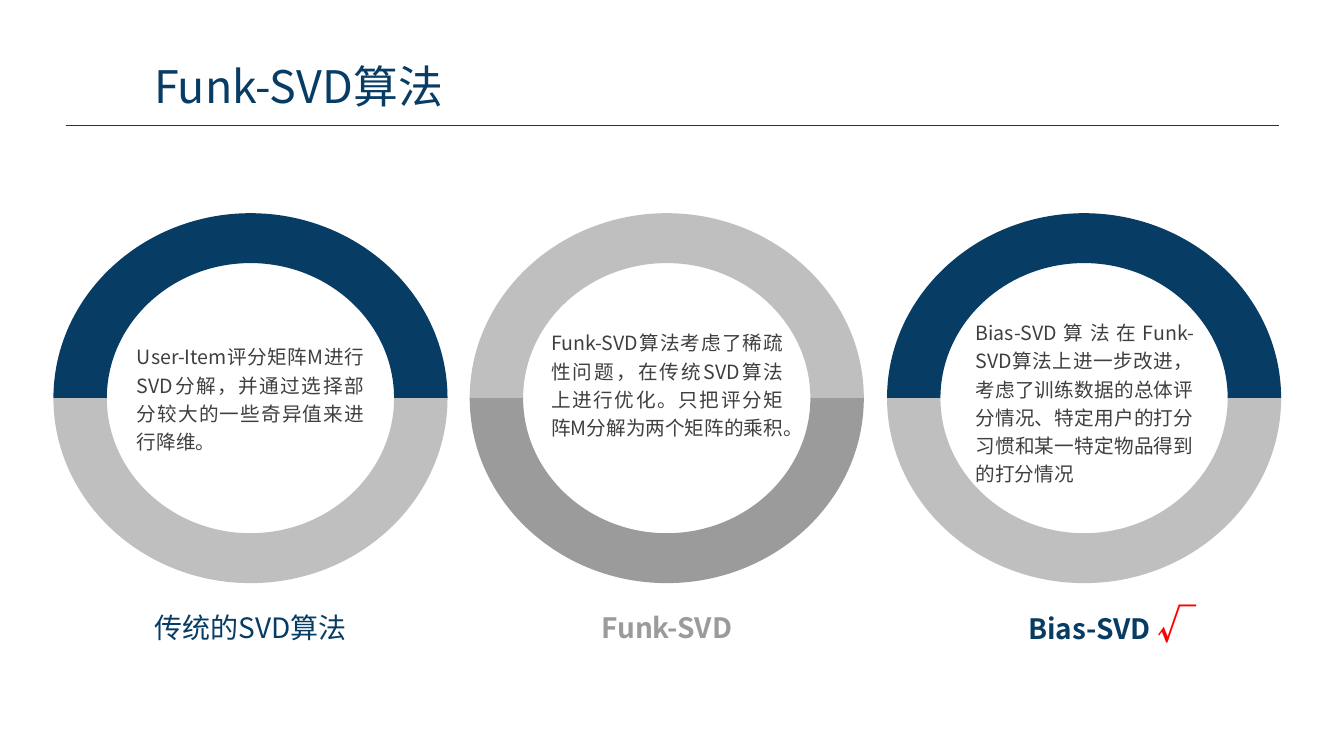
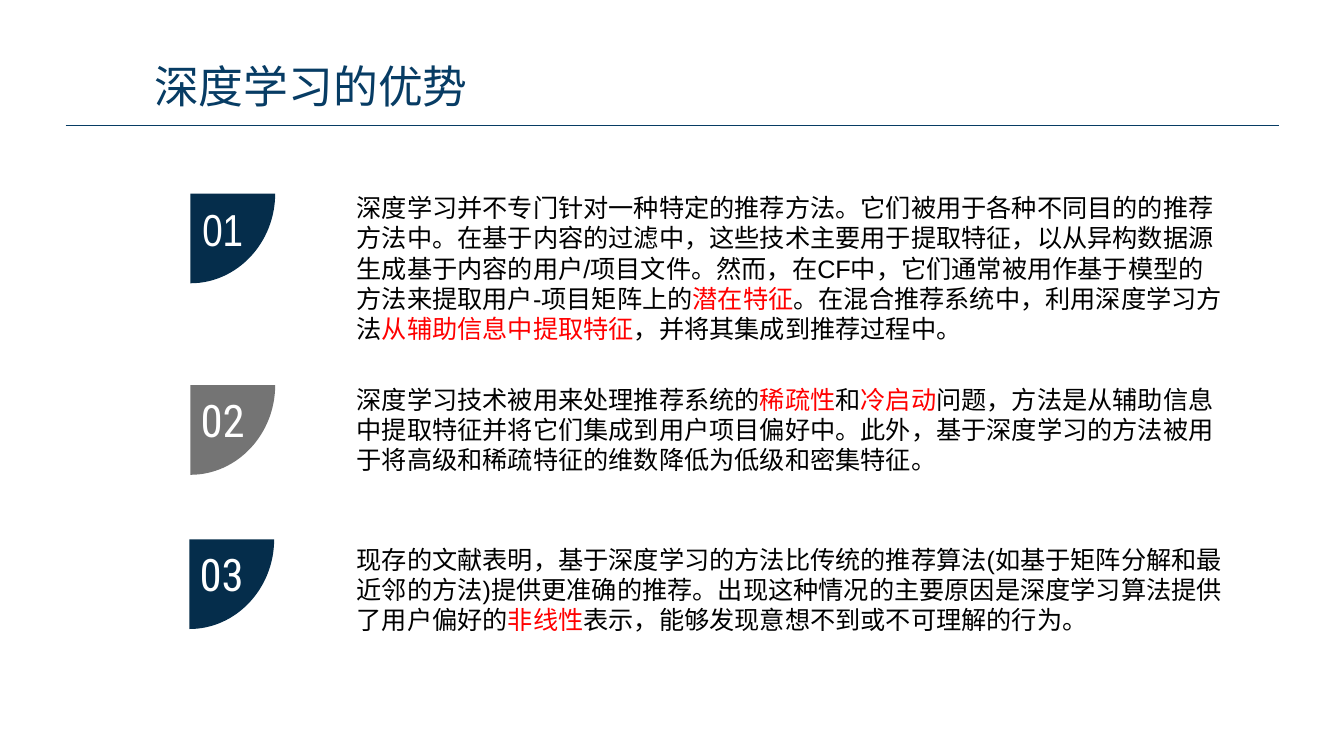
"""Build two slides: three SVD variants as rings, and three numbered advantages of deep learning."""
from lxml import etree
from pptx import Presentation
from pptx.dml.color import RGBColor
from pptx.enum.lang import MSO_LANGUAGE_ID
from pptx.enum.shapes import MSO_CONNECTOR
from pptx.enum.text import MSO_ANCHOR, MSO_AUTO_SIZE, PP_ALIGN
from pptx.oxml.ns import qn
from pptx.util import Inches, Pt

CHINESE = MSO_LANGUAGE_ID.SIMPLIFIED_CHINESE
STRAIGHT = MSO_CONNECTOR.STRAIGHT
MIDDLE = MSO_ANCHOR.MIDDLE
GROW, FIXED = MSO_AUTO_SIZE.SHAPE_TO_FIT_TEXT, MSO_AUTO_SIZE.NONE
LEFT, CENTER, JUSTIFY = PP_ALIGN.LEFT, PP_ALIGN.CENTER, PP_ALIGN.JUSTIFY

COLORS = {
    "navy": "073C64", "deep": "052D4B", "silver": "BFBFBF", "gray": "9B9B9B",
    "slate": "747474", "ink": "3F3F3F", "black": "000000", "red": "FF0000", "white": "FFFFFF",
}
HEADING_FONT, BODY_FONT = "Noto Sans CJK JP", "Noto Sans CJK SC"

METHODS = [
    {"label": [("传统的SVD算法", "navy", 20)], "bold": False, "halves": ("navy", "silver"),
     "left": 0.53, "label_corner": (0.65, 6.01), "body_box": (1.26, 3.33, 2.45, 1.21),
     "body": "User-Item评分矩阵M进行SVD分解，并通过选择部分较大的一些奇异值来进行降维。"},
    {"label": [("Funk-SVD", "gray", 20)], "bold": True, "halves": ("silver", "gray"),
     "left": 4.66, "label_corner": (4.78, 6.01), "body_box": (5.37, 3.19, 2.5, 1.49),
     "body": "Funk-SVD算法考虑了稀疏性问题，在传统SVD算法上进行优化。只把评分矩阵M分解为两个矩阵的乘积。"},
    {"label": [("Bias-SVD ", "navy", 20), ("√", "red", 28)], "bold": True, "halves": ("navy", "silver"),
     "left": 8.8, "label_corner": (9.2, 5.91), "body_box": (9.58, 3.09, 2.36, 1.77),
     "body": "Bias-SVD算法在Funk-SVD算法上进一步改进，考虑了训练数据的总体评分情况、"
             "特定用户的打分习惯和某一特定物品得到的打分情况"},
]
ADVANTAGES = [
    {"number": "01", "font": "Arial Narrow", "color": "deep", "corner": (1.89, 1.92), "box": (1.86, 1.62),
     "body": [("深度学习并不专门针对一种特定的推荐方法。它们被用于各种不同目的的推荐方法中。"
               "在基于内容的过滤中，这些技术主要用于提取特征，以从异构数据源生成基于内容的用户/项目文件。"
               "然而，在CF中，它们通常被用作基于模型的方法来提取用户-项目矩阵上的", "black"),
              ("潜在特征", "red"), ("。在混合推荐系统中，利用深度学习方法", "black"),
              ("从辅助信息中提取特征", "red"), ("，并将其集成到推荐过程中。", "black")]},
    {"number": "02", "font": "Roboto Condensed", "color": "slate", "corner": (1.89, 3.82), "box": (3.76, 1.01),
     "body": [("深度学习技术被用来处理推荐系统的", "black"), ("稀疏性", "red"), ("和", "black"),
              ("冷启动", "red"),
              ("问题，方法是从辅助信息中提取特征并将它们集成到用户项目偏好中。"
               "此外，基于深度学习的方法被用于将高级和稀疏特征的维数降低为低级和密集特征。", "black")]},
    {"number": "03", "font": "Roboto Condensed", "color": "deep", "corner": (1.88, 5.35), "box": (5.35, 1.01),
     "body": [("现存的文献表明，基于深度学习的方法比传统的推荐算法(如基于矩阵分解和最近邻的方法)"
               "提供更准确的推荐。出现这种情况的主要原因是深度学习算法提供了用户偏好的", "black"),
              ("非线性", "red"), ("表示，能够发现意想不到或不可理解的行为。", "black")]},
]

RING_MIDDLE = 3.95
OUTER, INNER = (1.955, 1.835), (1.425, 1.34)
BADGE = (0.84, 0.89)
ROUND = 0.55


def rgb(name):
    return RGBColor.from_string(COLORS[name])


def write(frame, runs, font, east_asian=BODY_FONT, bold=False, **layout):
    """Fill a frame with one paragraph of (text, colour, size) runs."""
    frame.word_wrap = True
    paragraph = frame.paragraphs[0]
    for key, value in layout.items():
        setattr(paragraph, key, value)
    for text, color, size in runs:
        run = paragraph.add_run()
        run.text = text
        values = {"size": Pt(size), "name": font, "bold": bold, "language_id": CHINESE}
        for key, value in values.items():
            setattr(run.font, key, value)
        run.font.color.rgb = rgb(color)
        etree.SubElement(run.font._element, qn("a:ea")).set("typeface", east_asian)


def add_text(slide, box, runs, font, fit=GROW, **layout):
    frame = slide.shapes.add_textbox(*map(Inches, box)).text_frame
    frame.auto_size = fit
    write(frame, runs, font, **layout)


def quarter(center, start, end):
    """One Bezier segment round an ellipse; start and end are offsets along its axes."""
    weights = ((1, ROUND), (ROUND, 1), (0, 1))
    return [tuple(c + a * s + b * e for c, s, e in zip(center, start, end)) for a, b in weights]


def add_outline(slide, start, segments, color):
    """Draw segments of one point as lines and of three points as Bezier curves."""
    points = [(Inches(x), Inches(y)) for segment in segments for x, y in segment]
    builder = slide.shapes.build_freeform(*map(Inches, start))
    builder.add_line_segments(points, close=True)
    shape = builder.convert_to_shape()
    lines = iter(list(shape._element.iter(qn("a:lnTo"))))
    for segment in segments:
        steps = [next(lines) for _ in segment]
        if len(steps) == 3:
            curve = etree.Element(qn("a:cubicBezTo"))
            steps[0].addprevious(curve)
            for step in steps:
                curve.append(step[0])
                step.getparent().remove(step)
    shape.shadow.inherit = False
    shape.fill.solid()
    shape.fill.fore_color.rgb = rgb(color)
    shape.line.fill.background()
    return shape


def add_half_ring(slide, center, side, color):
    """Draw the upper (side -1) or lower (side 1) half of a ring."""
    (x, y), (wide, high), (inner_wide, inner_high) = center, OUTER, INNER
    segments = [
        quarter(center, (0, side * inner_high), (inner_wide, 0)),
        [(x + wide, y)],
        quarter(center, (wide, 0), (0, side * high)),
        quarter(center, (0, side * high), (-wide, 0)),
        [(x - inner_wide, y)],
        quarter(center, (-inner_wide, 0), (0, side * inner_high)),
    ]
    add_outline(slide, (x, y + side * inner_high), segments, color)


def add_titled_slide(deck, title):
    slide = deck.slides.add_slide(deck.slide_layouts[6])
    rule = slide.shapes.add_connector(STRAIGHT, *map(Inches, (0.65, 1.24, 12.69, 1.24)))
    rule.line.color.rgb = rgb("navy")
    rule.line.width = Pt(0.5)
    etree.SubElement(rule._element.spPr, qn("a:effectLst"))
    add_text(slide, (1.43, 0.53, 4.76, 0.64), [(title, "navy", 32)], HEADING_FONT,
             east_asian=HEADING_FONT, alignment=LEFT)
    return slide


def add_methods(slide):
    for method in METHODS:
        center = (method["left"] + OUTER[0], RING_MIDDLE)
        for side, color in zip((-1, 1), method["halves"]):
            add_half_ring(slide, center, side, color)
        add_text(slide, (*method["label_corner"], 3.67, 0.79), method["label"], HEADING_FONT,
                 fit=FIXED, east_asian=HEADING_FONT, bold=method["bold"], alignment=CENTER,
                 space_before=Pt(4), space_after=Pt(6))
    for method in METHODS:
        add_text(slide, method["body_box"], [(method["body"], "ink", 14)], BODY_FONT,
                 alignment=JUSTIFY, line_spacing=1.2)


def add_advantages(slide):
    wide, high = BADGE
    for advantage in ADVANTAGES:
        x, y = corner = advantage["corner"]
        segments = [quarter(corner, (0, high), (wide, 0)), [corner]]
        frame = add_outline(slide, (x, y + high), segments, advantage["color"]).text_frame
        margins = {"margin_left": 0, "margin_top": 0, "margin_right": Inches(0.2),
                   "margin_bottom": Inches(0.2), "vertical_anchor": MIDDLE}
        for key, value in margins.items():
            setattr(frame, key, value)
        write(frame, [(advantage["number"], "white", 32)], advantage["font"], alignment=CENTER)
    for advantage in ADVANTAGES:
        top, height = advantage["box"]
        runs = [(text, color, 18) for text, color in advantage["body"]]
        add_text(slide, (3.44, top, 8.82, height), runs, "Arial", alignment=LEFT)


def main():
    deck = Presentation()
    deck.slide_width, deck.slide_height = Inches(40 / 3), Inches(7.5)
    add_methods(add_titled_slide(deck, "Funk-SVD算法"))
    add_advantages(add_titled_slide(deck, "深度学习的优势"))
    deck.save("out.pptx")


if __name__ == "__main__":
    main()
